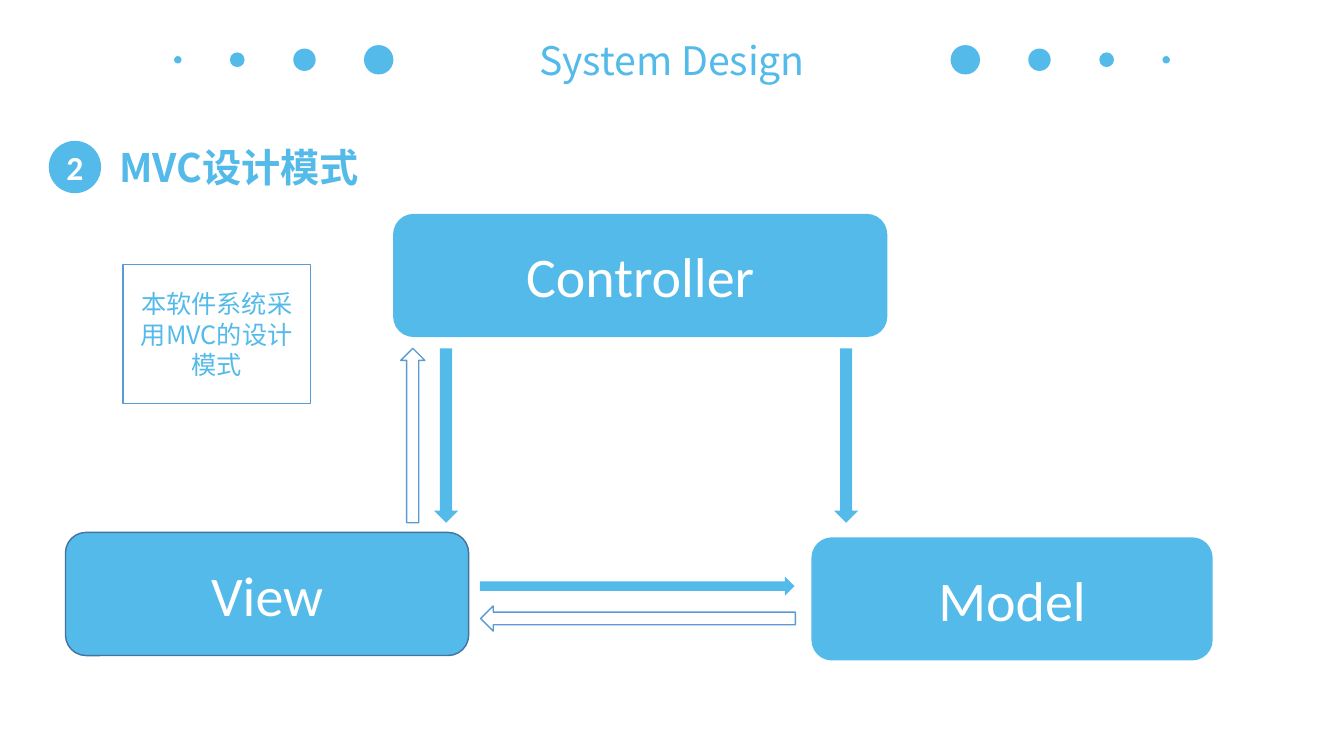
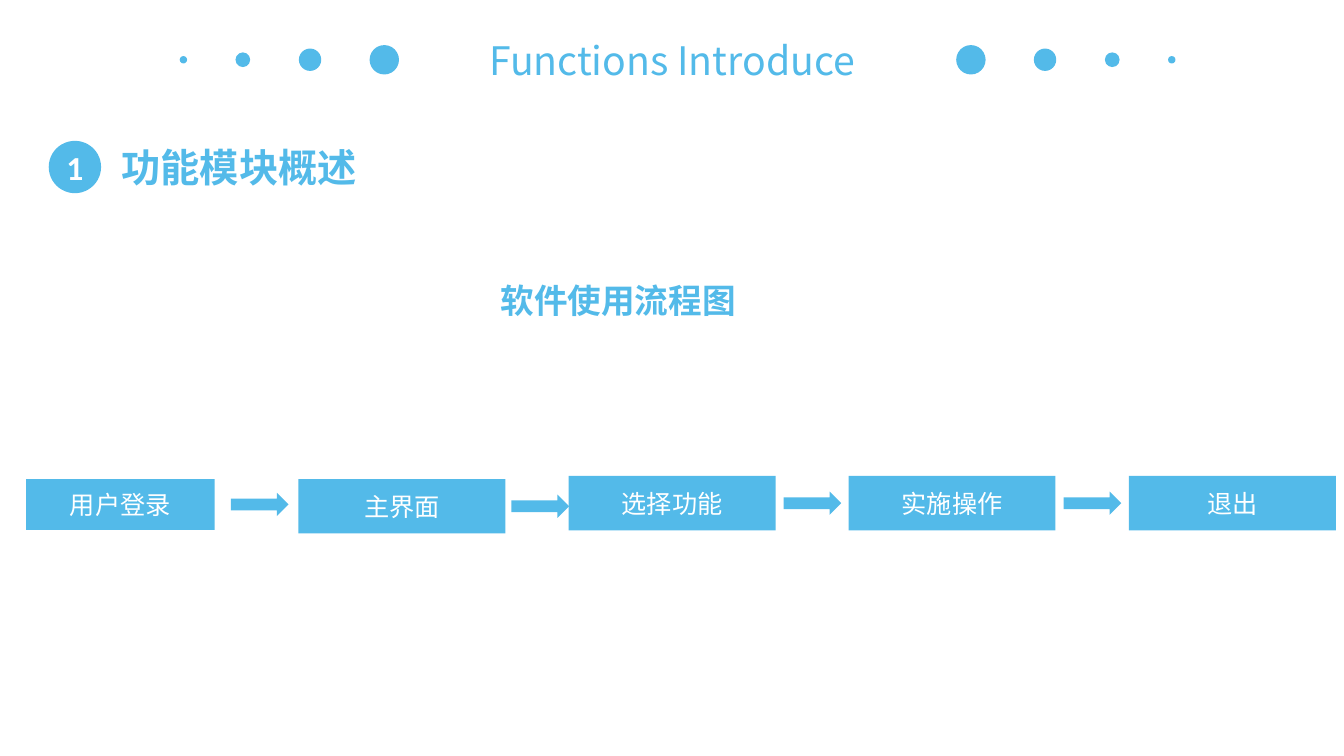
from lxml import etree
from pptx import Presentation
from pptx.dml.color import RGBColor
from pptx.enum.shapes import MSO_SHAPE
from pptx.enum.text import MSO_ANCHOR, MSO_AUTO_SIZE, PP_ALIGN
from pptx.oxml.ns import qn
from pptx.util import Pt

SKY = RGBColor(0x53, 0xBA, 0xE9)
STEEL = RGBColor(0x5B, 0x9B, 0xD5)
DEEP = RGBColor(0x43, 0x73, 0x9E)
WHITE = RGBColor(0xFF, 0xFF, 0xFF)

CJK = "Noto Sans CJK SC"
LATIN = "Calibri"

OVAL, RECT = MSO_SHAPE.OVAL, MSO_SHAPE.RECTANGLE
ROUNDED = MSO_SHAPE.FLOWCHART_ALTERNATE_PROCESS
UP, DOWN = MSO_SHAPE.UP_ARROW, MSO_SHAPE.DOWN_ARROW
LEFT, RIGHT = MSO_SHAPE.LEFT_ARROW, MSO_SHAPE.RIGHT_ARROW

SLIDE_W, SLIDE_H = 960, 540
TITLE_ONLY = 5
BAND_MIDDLE = 42.7
DOTS = [(209.5, 21), (262.5, 16), (310.5, 10.5), (353, 5.3)]  # offset, diameter

TITLE = {"size": Pt(28), "name": CJK, "bold": False}
HEADING = {"size": Pt(28), "name": CJK, "bold": True}
CAPTION = {"size": Pt(24), "name": CJK, "bold": True}
NUMBER = {"size": Pt(24), "name": LATIN, "bold": True}
COMPONENT = {"size": Pt(40), "name": LATIN}
NOTE = {"size": Pt(18), "name": CJK}
STEP = {"size": Pt(18), "name": LATIN}


def points(*lengths):
    return [Pt(length) for length in lengths]


def write(frame, text, style, color, margin=7.2):
    """Put one centred line of styled text in a text frame."""
    layout = {
        "word_wrap": True,
        "auto_size": MSO_AUTO_SIZE.NONE,
        "vertical_anchor": MSO_ANCHOR.MIDDLE,
        "margin_left": Pt(margin),
        "margin_right": Pt(margin),
    }
    for key, value in layout.items():
        setattr(frame, key, value)
    paragraph = frame.paragraphs[0]
    paragraph.alignment = PP_ALIGN.CENTER
    run = paragraph.add_run()
    run.text = text
    for key, value in style.items():
        setattr(run.font, key, value)
    run.font.color.rgb = color
    east_asian = etree.Element(qn("a:ea"), typeface=CJK)
    run.font._element.find(qn("a:latin")).addnext(east_asian)


def add_shape(slide, preset, box, fill=SKY, line=None):
    shape = slide.shapes.add_shape(preset, *points(*box))
    shape.shadow.inherit = False
    if fill is None:
        shape.fill.background()
    else:
        shape.fill.solid()
        shape.fill.fore_color.rgb = fill
    if line is None:
        shape.line.fill.background()
    else:
        shape.line.color.rgb = line
        shape.line.width = Pt(1)
    return shape


def add_label(slide, box, text, style):
    label = slide.shapes.add_textbox(*points(*box))
    write(label.text_frame, text, style, SKY)


def add_title_band(slide, text, dots_center):
    title = slide.shapes.title
    title.left, title.top, title.width, title.height = points(300, 21, 360, 43)
    write(title.text_frame, text, TITLE, SKY)
    for side in (-1, 1):
        for offset, size in DOTS:
            x = dots_center + side * offset - size / 2
            add_shape(slide, OVAL, (x, BAND_MIDDLE - size / 2, size, size))


def add_heading(slide, left, top, number, text):
    badge = add_shape(slide, OVAL, (left, top, 37.4, 37.4))
    write(badge.text_frame, number, NUMBER, WHITE, margin=0)
    add_label(slide, (left + 20, top - 6.5, 232, 50), text, HEADING)


def add_mvc_diagram(slide, left, top):
    components = [
        ("Controller", 234, 0, 353, None),
        ("View", 0, 227.5, 288, DEEP),
        ("Model", 532.8, 231, 286.6, None),
    ]
    for name, x, y, width, line in components:
        box = add_shape(slide, ROUNDED, (left + x, top + y, width, 88), line=line)
        write(box.text_frame, name, COMPONENT, WHITE)

    arrows = [
        (UP, 239.4, 96, 17.3, 124.6, None, STEEL),
        (DOWN, 263.2, 96, 17.3, 124.6, SKY, None),
        (DOWN, 549, 96, 17.3, 124.6, SKY, None),
        (RIGHT, 296, 259, 224.8, 13.7, SKY, None),
        (LEFT, 296.6, 280, 224.8, 18, None, STEEL),
    ]
    for preset, x, y, width, height, fill, line in arrows:
        add_shape(slide, preset, (left + x, top + y, width, height), fill, line)


def add_note(slide, box, text):
    note = add_shape(slide, RECT, box, fill=None, line=STEEL)
    write(note.text_frame, text, NOTE, SKY)


def add_flow(slide, left, top):
    """Place the steps, each followed by an arrow level with its middle."""
    arrow_w, arrow_h = 41.2, 16.6
    steps = [  # text, x, y, width, height, gap before the arrow
        ("用户登录", 0, 2.2, 134.6, 36.3, 11.6),
        ("主界面", 194.5, 2.2, 147.8, 38.9, 4.3),
        ("选择功能", 387.5, 0, 147.8, 38.9, 5.7),
        ("实施操作", 587.5, 0, 147.8, 38.9, 5.7),
        ("退出", 787.7, 0, 147.8, 38.9, None),
    ]
    for text, x, y, width, height, gap in steps:
        step = add_shape(slide, RECT, (left + x, top + y, width, height))
        write(step.text_frame, text, STEP, WHITE)
        if gap is not None:
            arrow_top = top + y + (height - arrow_h) / 2
            add_shape(slide, RIGHT,
                      (left + x + width + gap, arrow_top, arrow_w, arrow_h))


def add_page(deck, title, dots_center, number, heading):
    slide = deck.slides.add_slide(deck.slide_layouts[TITLE_ONLY])
    add_title_band(slide, title, dots_center)
    add_heading(slide, 34.8, 100.6, number, heading)
    return slide


def main():
    deck = Presentation()
    deck.slide_width, deck.slide_height = points(SLIDE_W, SLIDE_H)

    design = add_page(deck, "System Design", 480, "2", "MVC设计模式")
    add_mvc_diagram(design, 46.8, 152.8)
    add_note(design, (87.8, 188.8, 134, 99.6), "本软件系统采用MVC的设计模式")

    functions = add_page(deck, "Functions Introduce", 484, "1", "功能模块概述")
    add_label(functions, (320, 190, 243, 49), "软件使用流程图", CAPTION)
    add_flow(functions, 18.7, 340)

    deck.save("out.pptx")


if __name__ == "__main__":
    main()
